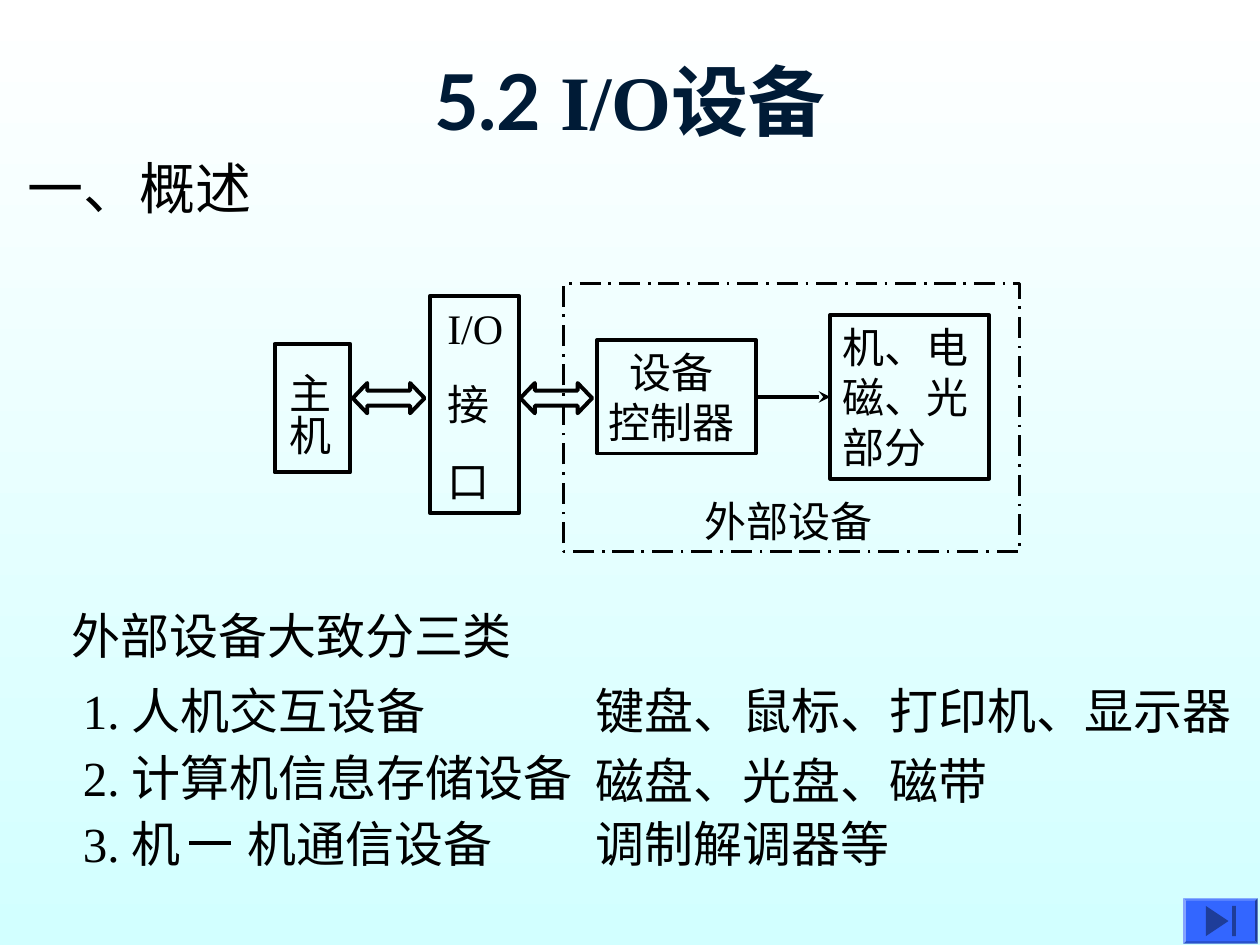
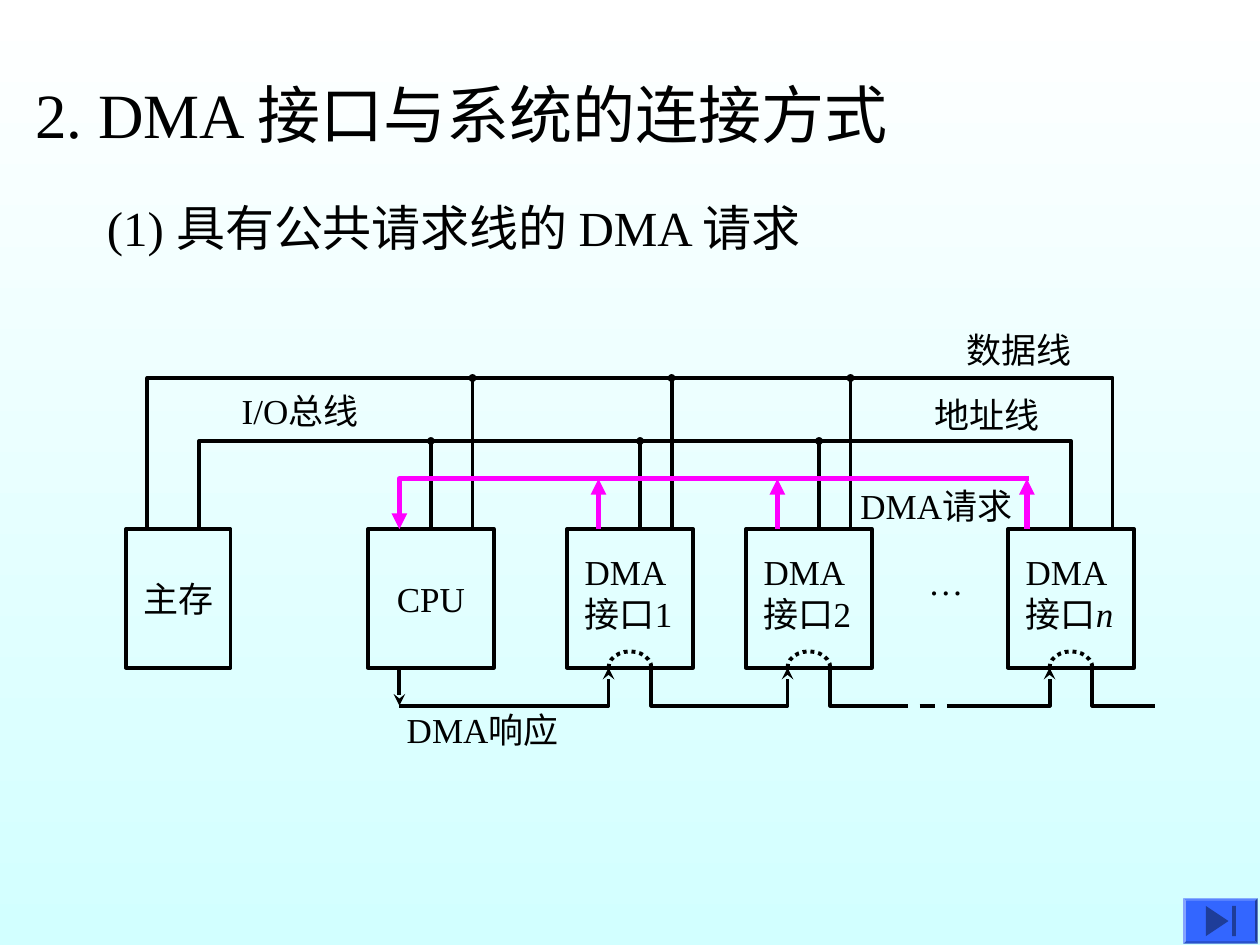
import math

from lxml import etree
from pptx import Presentation
from pptx.dml.color import RGBColor
from pptx.enum.dml import MSO_LINE
from pptx.enum.shapes import MSO_CONNECTOR, MSO_SHAPE
from pptx.enum.text import MSO_ANCHOR, MSO_AUTO_SIZE, PP_ALIGN
from pptx.oxml.ns import qn
from pptx.util import Inches, Pt

BLACK = RGBColor(0x00, 0x00, 0x00)
WHITE = RGBColor(0xFF, 0xFF, 0xFF)
PALE_CYAN = RGBColor(0xD2, 0xFF, 0xFF)
NAVY = RGBColor(0x00, 0x1B, 0x36)
MAGENTA = RGBColor(0xFF, 0x00, 0xFF)
BUTTON_BLUE = RGBColor(0x33, 0x66, 0xFF)

SERIF = "Times New Roman"
SANS = "Lato"

LEFT, CENTER = PP_ALIGN.LEFT, PP_ALIGN.CENTER
TOP, MIDDLE = MSO_ANCHOR.TOP, MSO_ANCHOR.MIDDLE
RECT, DOUBLE_ARROW = MSO_SHAPE.RECTANGLE, MSO_SHAPE.LEFT_RIGHT_ARROW
BEVEL, NEXT_BUTTON = MSO_SHAPE.BEVEL, MSO_SHAPE.ACTION_BUTTON_END
STRAIGHT = MSO_CONNECTOR.STRAIGHT
DASH, DOTS, DASH_DOT = MSO_LINE.DASH, MSO_LINE.ROUND_DOT, MSO_LINE.LONG_DASH_DOT
NO_FIT = MSO_AUTO_SIZE.NONE
SIDE_TOP, SIDE_LEFT, SIDE_RIGHT = 0, 1, 3


# Text
def write(tf, *paras, size=24, font=SERIF, color=BLACK, bold=False, align=LEFT,
          anchor=TOP, insets=(0.1, 0.05, 0.1, 0.05), gap=0, tab=None):
    """Each paragraph is a string or a list of (text, font overrides)."""
    tf.word_wrap, tf.auto_size, tf.vertical_anchor = True, NO_FIT, anchor
    tf.margin_left, tf.margin_top, tf.margin_right, tf.margin_bottom = map(Inches, insets)
    for i, runs in enumerate(paras):
        p = tf.add_paragraph() if i else tf.paragraphs[0]
        p.alignment = align
        if i and gap:
            p.space_before = Pt(gap)
        if tab:
            tabs = etree.SubElement(p._p.get_or_add_pPr(), qn("a:tabLst"))
            etree.SubElement(tabs, qn("a:tab"), pos=str(Inches(tab)), algn="l")
        for text, changes in [(runs, {})] if isinstance(runs, str) else runs:
            r = p.add_run()
            r.text = text
            r.font.size, r.font.bold = Pt(size), bold
            r.font.name = changes.get("font", font)
            r.font.italic = changes.get("italic", False)
            r.font.color.rgb = color


def textbox(s, x, y, w, h, *paras, **fmt):
    sp = s.shapes.add_textbox(Inches(x), Inches(y), Inches(w), Inches(h))
    write(sp.text_frame, *paras, **fmt)


def title(s, x, y, w, h, *paras, **fmt):
    sp = s.shapes.title
    sp.left, sp.top, sp.width, sp.height = map(Inches, (x, y, w, h))
    write(sp.text_frame, *paras, **fmt)


# Shapes and lines
def outline(sp, color=BLACK, width=2.25, dash=None, tail=None):
    sp.line.color.rgb = color
    sp.line.width = Pt(width)
    if dash:
        sp.line.dash_style = dash
    if tail:
        end = etree.SubElement(sp.element.spPr.find(qn("a:ln")), qn("a:tailEnd"), type=tail)
        if tail == "oval":
            end.set("w", "sm")
            end.set("len", "sm")


def shape(s, kind, x, y, w, h, **line):
    sp = s.shapes.add_shape(kind, Inches(x), Inches(y), Inches(w), Inches(h))
    sp.shadow.inherit = False
    sp.fill.background()
    outline(sp, **line)
    return sp


def box(s, x, y, w, h, *paras, **fmt):
    sp = shape(s, RECT, x, y, w, h)
    write(sp.text_frame, *paras, **fmt)
    return sp


def double_arrow(s, x, y):
    sp = shape(s, DOUBLE_ARROW, x, y, 0.57, 0.24)
    sp.adjustments[0], sp.adjustments[1] = 0.5, 0.48


def line(s, x1, y1, x2, y2, **fmt):
    cx = s.shapes.add_connector(STRAIGHT, Inches(x1), Inches(y1), Inches(x2), Inches(y2))
    outline(cx, **fmt)
    etree.SubElement(cx.element.spPr, qn("a:effectLst"))
    return cx


def polyline(s, *points, **fmt):
    start, *rest = [(Inches(x), Inches(y)) for x, y in points]
    builder = s.shapes.build_freeform(*start)
    builder.add_line_segments(rest, close=False)
    sp = builder.convert_to_shape()
    sp.shadow.inherit = False
    sp.fill.background()
    outline(sp, **fmt)


# Shared slide parts
def paint_background(prs):
    fill = prs.slide_master.background.fill
    fill.gradient()
    fill.gradient_angle = 270
    for stop, color, position in zip(fill.gradient_stops, (WHITE, PALE_CYAN), (0, 1)):
        stop.color.rgb = color
        stop.position = position


def new_slide(prs):
    s = prs.slides.add_slide(prs.slide_layouts[5])
    frame = shape(s, BEVEL, 9.39, 7.13, 0.59, 0.36)
    frame.adjustments[0] = 0.06
    button = shape(s, NEXT_BUTTON, 9.42, 7.15, 0.54, 0.32)
    for sp in (frame, button):
        sp.fill.solid()
        sp.fill.fore_color.rgb = BUTTON_BLUE
        sp.line.fill.background()
    return s


def io_devices(prs):
    s = new_slide(prs)
    title(s, 0.75, 0.17, 8.5, 1.25,
          [("5.2 ", {}), ("I/O", {"font": SERIF}), ("设备", {})],
          size=44, font=SANS, color=NAVY, bold=True, align=CENTER, anchor=MIDDLE)
    textbox(s, 0.12, 1.17, 2.58, 0.64, "一、概述", size=32)

    # Host, interface and external device
    host = box(s, 2.18, 2.73, 0.6, 1.02, "主机", align=CENTER,
               insets=(0.05, 0.23, 0.13, 0.05))
    host.text_frame._txBody.bodyPr.set("vert", "eaVert")
    box(s, 3.41, 2.35, 0.71, 1.72, "I/O", "接", "口", gap=15,
        insets=(0.14, 0.05, 0.06, 0.05))
    shape(s, RECT, 4.47, 2.25, 3.62, 2.13, width=1.5, dash=DASH_DOT)
    textbox(s, 5.49, 3.88, 2.28, 0.5, "外部设备")
    controller = box(s, 4.74, 2.7, 1.26, 0.9, "设备", "控制器", align=CENTER,
                     insets=(0.05, 0.05, 0.13, 0.05))
    mechanism = box(s, 6.59, 2.5, 1.26, 1.3, "机、电", "磁、光", "部分")
    drive = line(s, 6, 3.15, 6.59, 3.15, tail="stealth")
    drive.begin_connect(controller, SIDE_RIGHT)
    drive.end_connect(mechanism, SIDE_LEFT)
    for x in (2.8, 4.13):
        double_arrow(s, x, 3.04)

    # Three classes of device with examples
    textbox(s, 0.47, 4.76, 4.83, 0.57, "外部设备大致分三类", size=28)
    classes = [
        ("1. 人机交互设备", 5.35, "键盘、鼠标、打印机、显示器"),
        ("2. 计算机信息存储设备", 5.91, "磁盘、光盘、磁带"),
        ("3. 机\t机通信设备", 6.41, "调制解调器等"),
    ]
    for i, (name, examples_y, examples) in enumerate(classes):
        textbox(s, 0.56, 5.35 + 0.53 * i, 4.58, 0.57, name, size=28,
                tab=1.31 if "\t" in name else None)
        textbox(s, 4.63, examples_y, 5.5, 0.57, examples, size=28)
    line(s, 1.5, 6.69, 1.83, 6.69)


def dma_connection(prs):
    s = new_slide(prs)
    title(s, 0.18, 0.55, 7.5, 0.7, "2. DMA 接口与系统的连接方式", size=36)
    textbox(s, 0.75, 1.52, 6.58, 0.57, "(1) 具有公共请求线的 DMA 请求", size=28)

    box_top, box_h = 4.2, 1.1
    box_bottom = box_top + box_h
    data_y, address_y, request_y, reply_y = 3, 3.5, 3.8, 5.6
    cpu_x, dma1_x, dma2_x, dman_x = 2.92, 4.5, 5.92, 8
    port_in, port_out, data_tap = 0.33, 0.67, 0.83

    # Units
    centred = {"size": 20, "align": CENTER, "anchor": MIDDLE}
    box(s, 1, box_top, 0.83, box_h, "主存", **centred)
    cpu = box(s, cpu_x, box_top, 1, box_h, "CPU", **centred)
    for x, number in ((dma1_x, "1"), (dma2_x, "2"), (dman_x, "n")):
        box(s, x, box_top, 1, box_h, "DMA",
            [("接口", {}), (number, {"italic": number == "n"})],
            size=20, insets=(0.14, 0.17, 0, 0.05))
        # Dotted pass-through between the reply ports
        radius = (port_out - port_in) / 2
        angles = [math.pi * i / 12 for i in range(13)]
        polyline(s, *[(x + 0.5 - radius * math.cos(a), box_bottom - 0.13 * math.sin(a))
                      for a in angles], dash=DOTS)
    textbox(s, 7.27, 4.4, 0.6, 0.44, "…", size=20)

    # Data and address buses with their taps
    for left, right, y in ((1.17, dman_x + data_tap, data_y),
                           (1.58, dman_x + 0.5, address_y)):
        polyline(s, (left, box_top), (left, y), (right, y), (right, box_top))
    for x, address_tap in ((cpu_x, 0.5), (dma1_x, 0.58), (dma2_x, 0.58)):
        line(s, x + data_tap, box_top, x + data_tap, data_y, tail="oval")
        tap = line(s, x + address_tap, box_top, x + address_tap, address_y, tail="oval")
        if x == cpu_x:
            tap.begin_connect(cpu, SIDE_TOP)

    # Shared request line
    request = {"color": MAGENTA, "width": 3, "tail": "triangle"}
    cpu_port = cpu_x + 0.25
    polyline(s, (8.17, request_y), (cpu_port, request_y), (cpu_port, box_top), **request)
    for x in (dma1_x + 0.25, dma2_x + 0.25, dman_x + 0.15):
        line(s, x, box_top, x, request_y, **request)

    # Reply chain
    line(s, cpu_port, box_bottom, cpu_port, reply_y, tail="stealth")
    polyline(s, (cpu_port, reply_y), (dma1_x + port_in, reply_y),
             (dma1_x + port_in, box_bottom), tail="stealth")
    polyline(s, (dma1_x + port_out, box_bottom), (dma1_x + port_out, reply_y),
             (dma2_x + port_in, reply_y), (dma2_x + port_in, box_bottom), tail="stealth")
    for x in (dma2_x, dman_x):
        polyline(s, (x + port_out, box_bottom), (x + port_out, reply_y),
                 (x + port_out + 0.5, reply_y))
    line(s, 7.08, reply_y, 7.58, reply_y, dash=DASH)
    polyline(s, (7.58, reply_y), (dman_x + port_in, reply_y),
             (dman_x + port_in, box_bottom), tail="stealth")

    # Line labels
    for x, y, w, label in ((3.13, 5.57, 1.6, "DMA响应"), (1.82, 3.04, 1.4, "I/O总线"),
                           (7.57, 2.56, 1.2, "数据线"), (7.32, 3.07, 1.2, "地址线"),
                           (6.73, 3.8, 1.6, "DMA请求")):
        textbox(s, x, y, w, 0.44, label, size=20)


def main():
    prs = Presentation()
    prs.slide_width, prs.slide_height = Inches(10), Inches(7.5)
    paint_background(prs)
    io_devices(prs)
    dma_connection(prs)
    prs.save("out.pptx")


if __name__ == "__main__":
    main()
